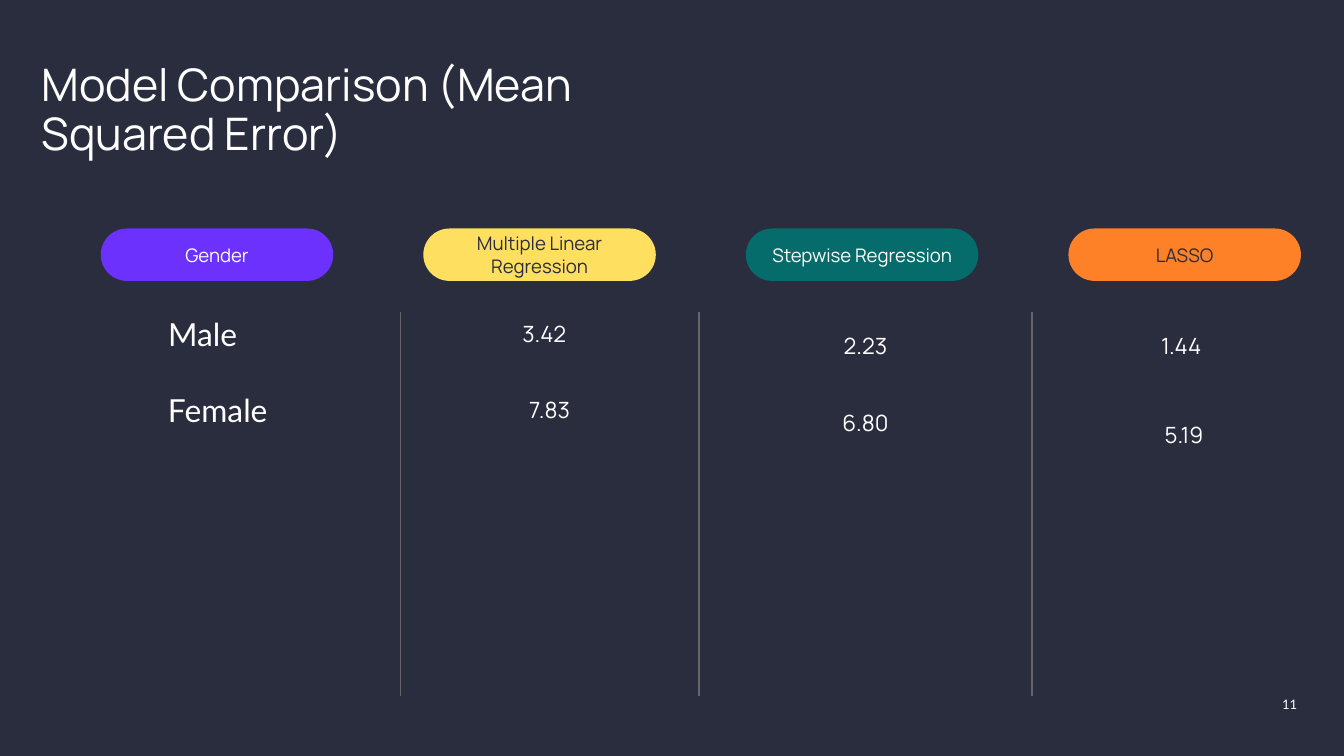
from pptx import Presentation
from pptx.dml.color import RGBColor
from pptx.enum.shapes import MSO_CONNECTOR, MSO_SHAPE
from pptx.enum.text import MSO_ANCHOR, MSO_AUTO_SIZE, PP_ALIGN
from pptx.oxml.ns import qn
from pptx.util import Inches, Pt
from lxml import etree

COLORS = {"navy": "292D3E", "white": "FFFFFF", "purple": "6D31FD", "yellow": "FFDF5F",
          "teal": "066B6B", "orange": "FF8127", "gray": "666666"}

TITLE = "Model Comparison (Mean Squared Error)"
PAGE_NUMBER = "11"
# heading, fill, text colour
HEADINGS = [
    ("Gender", "purple", "white"),
    ("Multiple Linear Regression", "yellow", "navy"),
    ("Stepwise Regression", "teal", "white"),
    ("LASSO", "orange", "navy"),
]
# label, left, top, width
GENDERS = [("Male", 1.25, 2.24, 0.72), ("Female", 1.25, 2.81, 0.96)]
# mean squared error, left, top
ERRORS = [
    ("3.42", 3.52, 2.15), ("7.83", 3.56, 2.71),
    ("2.23", 5.91, 2.24), ("6.80", 5.91, 2.81),
    ("1.44", 8.26, 2.24), ("5.19", 8.28, 2.9),
]
DIVIDERS = [2.98, 5.2, 7.68]
DIVIDER_TOP, DIVIDER_BOTTOM = 2.32, 5.18
SLIDE_W = 10
SLIDE_H = SLIDE_W * 9 / 16
PILL_LEFT, PILL_TOP, PILL_STEP, PILL_W, PILL_H = 0.75, 1.7, 2.4, 1.73, 0.39
CELL_W, CELL_H = 1.06, 0.67


def rgb(name):
    return RGBColor.from_string(COLORS[name])


def inches(*lengths):
    return [Inches(n) for n in lengths]


def write(shape, text, size, font="Manrope", color="white", align=PP_ALIGN.LEFT,
          anchor=MSO_ANCHOR.TOP, margins=(0.1, 0.1, 0.1, 0.1)):
    tf = shape.text_frame
    tf.text = text
    tf.word_wrap = True
    tf.auto_size = MSO_AUTO_SIZE.NONE
    tf.vertical_anchor = anchor
    tf.margin_left, tf.margin_top, tf.margin_right, tf.margin_bottom = inches(*margins)
    p = tf.paragraphs[0]
    p.alignment = align
    f = p.runs[0].font
    f.name, f.size = font, Pt(size)
    f.color.rgb = rgb(color)
    return p


def add_text(s, box, text, size, **style):
    write(s.shapes.add_textbox(*inches(*box)), text, size, **style)


def add_heading(s, column, text, fill, color):
    left = PILL_LEFT + column * PILL_STEP
    pill = s.shapes.add_shape(MSO_SHAPE.ROUNDED_RECTANGLE,
                              *inches(left, PILL_TOP, PILL_W, PILL_H))
    pill.adjustments[0] = 0.5
    pill.shadow.inherit = False
    pill.fill.solid()
    pill.fill.fore_color.rgb = rgb(fill)
    pill.line.fill.background()
    write(pill, text, 10, color=color, align=PP_ALIGN.CENTER, anchor=MSO_ANCHOR.MIDDLE)


def add_divider(s, x):
    line = s.shapes.add_connector(MSO_CONNECTOR.STRAIGHT,
                                  *inches(x, DIVIDER_TOP, x, DIVIDER_BOTTOM))
    line.line.color.rgb = rgb("gray")
    line.line.width = Pt(0.75)
    etree.SubElement(line._element.spPr, qn("a:effectLst"))


def main():
    prs = Presentation()
    prs.slide_width, prs.slide_height = inches(SLIDE_W, SLIDE_H)
    s = prs.slides.add_slide(prs.slide_layouts[5])
    s.background.fill.solid()
    s.background.fill.fore_color.rgb = rgb("navy")

    title = s.shapes.title
    title.left, title.top, title.width, title.height = inches(0.31, 0.47, 4.79, 0.47)
    write(title, TITLE, 24, margins=(0, 0, 0.1, 0)).line_spacing = 0.9

    for column, heading in enumerate(HEADINGS):
        add_heading(s, column, *heading)
    for x in DIVIDERS:
        add_divider(s, x)
    for text, left, top, width in GENDERS:
        add_text(s, (left, top, width, CELL_H), text, 17, font="Lato",
                 margins=(0, 0.1, 0.1, 0.1))
    for text, left, top in ERRORS:
        add_text(s, (left, top, CELL_W, CELL_H), text, 12,
                 align=PP_ALIGN.CENTER, anchor=MSO_ANCHOR.MIDDLE)
    add_text(s, (7.35, 5.12, 2.4, 0.32), PAGE_NUMBER, 7, font="Lato",
             align=PP_ALIGN.RIGHT, margins=(0.1, 0.06, 0.1, 0.1))

    prs.save("out.pptx")


if __name__ == "__main__":
    main()
